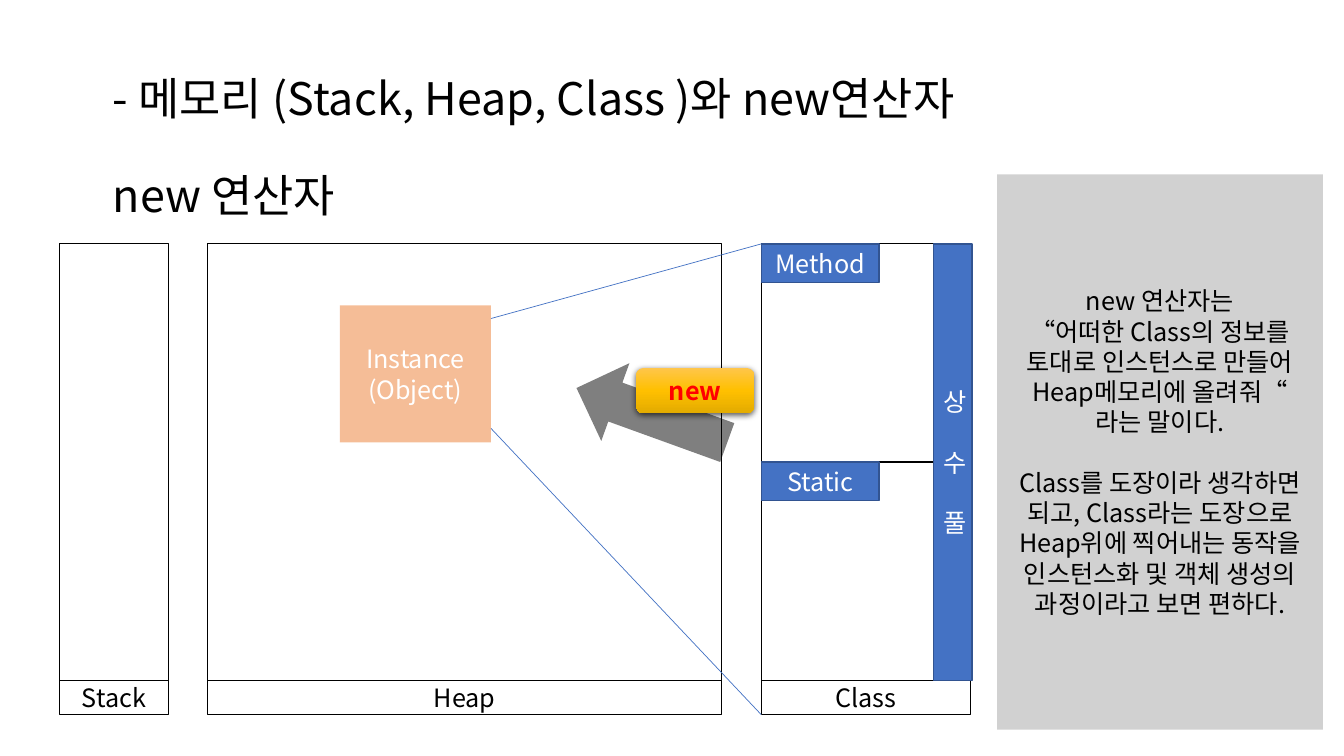
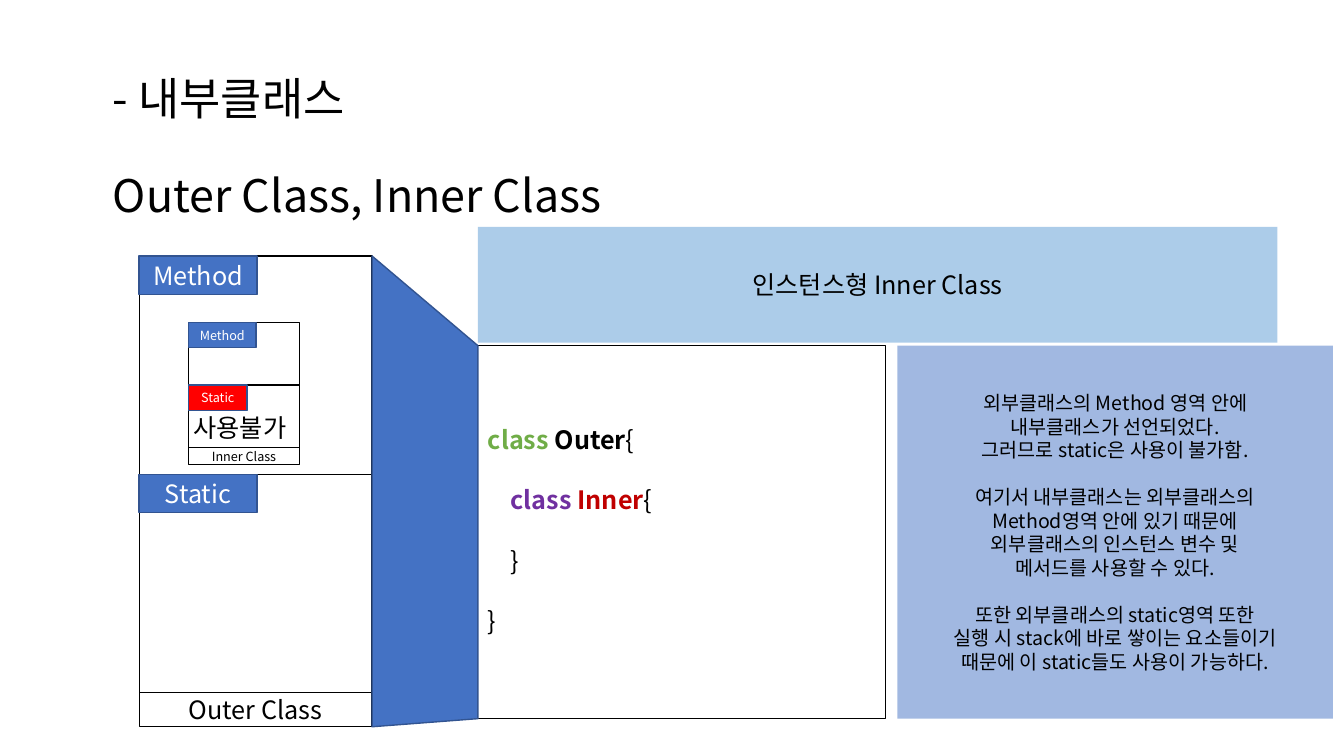
import dataclasses

import lxml.etree
import pptx
import pptx.dml.color
import pptx.enum.shapes
import pptx.enum.text
import pptx.oxml
import pptx.oxml.ns
import pptx.util

Inches = pptx.util.Inches
Shapes = pptx.enum.shapes.MSO_SHAPE
Align = pptx.enum.text.PP_ALIGN
Anchor = pptx.enum.text.MSO_ANCHOR
qn = pptx.oxml.ns.qn


@dataclasses.dataclass(frozen=True)
class Theme:
    font: str = "Noto Sans CJK KR"
    black: str = "000000"
    white: str = "FFFFFF"
    blue: str = "4472C4"
    navy: str = "325491"
    sky: str = "5B9BD5"
    gray: str = "A5A5A5"
    orange: str = "ED7D31"
    red: str = "FF0000"
    green: str = "70AD47"
    purple: str = "7030A0"
    crimson: str = "C00000"
    gold: tuple = ("FFC64B", "FFC000", "E3AB00")
    title: int = 32
    body: int = 18
    note: int = 14
    small: int = 9
    thin: float = 0.5
    frame: float = 0.75
    rule: float = 1
    line_height: float = 1.2


THEME = Theme()


@dataclasses.dataclass(frozen=True)
class Box:
    left: float
    top: float
    width: float
    height: float

    @property
    def right(self):
        return self.left + self.width

    @property
    def bottom(self):
        return self.top + self.height

    def inside(self, left, top, width, height):
        return Box(self.left + left, self.top + top, width, height)

    def lengths(self):
        return [Inches(value) for value in dataclasses.astuple(self)]


def color(value):
    return pptx.dml.color.RGBColor.from_string(value)


def set_values(target, values):
    for name, value in values.items():
        setattr(target, name, value)


def add_run(paragraph, text, size, text_color, bold=False):
    run = paragraph.add_run()
    run.text = text
    set_values(run.font, {"name": THEME.font, "size": pptx.util.Pt(size), "bold": bold})
    run.font.color.rgb = color(text_color)
    latin = run.font._element.find(qn("a:latin"))
    east_asian = lxml.etree.Element(qn("a:ea"), typeface=THEME.font)
    latin.addnext(east_asian)


def write_blocks(frame, blocks, size=THEME.body, text_color=THEME.black, bold=False,
                 align=Align.CENTER, anchor=Anchor.MIDDLE, spacing=1.0):
    set_values(frame, {"word_wrap": True, "vertical_anchor": anchor})
    paragraph = None
    for block in blocks:
        for position, line in enumerate(block):
            first = paragraph is None
            paragraph = frame.paragraphs[0] if first else frame.add_paragraph()
            set_values(paragraph, {"alignment": align, "line_spacing": spacing})
            if position == 0 and not first:
                gap = size * THEME.line_height * spacing
                paragraph.space_before = pptx.util.Pt(round(gap, 1))
            runs = [(line, {})] if isinstance(line, str) else line
            for text, changes in runs:
                values = {"size": size, "text_color": text_color, "bold": bold}
                add_run(paragraph, text, **{**values, **changes})


def paint(shape, fill=None, alpha=None, line=None, line_width=THEME.frame):
    shape.shadow.inherit = False
    if fill:
        shape.fill.solid()
        shape.fill.fore_color.rgb = color(fill)
        if alpha:
            fill_color = shape._element.spPr.find(qn("a:solidFill"))[0]
            lxml.etree.SubElement(fill_color, qn("a:alpha"), val=str(alpha * 1000))
    else:
        shape.fill.background()
    if line:
        shape.line.color.rgb = color(line)
        shape.line.width = pptx.util.Pt(line_width)
    else:
        shape.line.fill.background()


def add_panel(slide, box, blocks=(), text=None, kind=Shapes.RECTANGLE, **look):
    shape = slide.shapes.add_shape(kind, *box.lengths())
    paint(shape, **look)
    if blocks:
        write_blocks(shape.text_frame, blocks, **(text or {}))
    return shape


def add_line(slide, start, end, line_color=THEME.black, width=THEME.rule):
    connector = slide.shapes.add_connector(
        pptx.enum.shapes.MSO_CONNECTOR.STRAIGHT, *map(Inches, (*start, *end)))
    connector.line.color.rgb = color(line_color)
    connector.line.width = pptx.util.Pt(width)
    lxml.etree.SubElement(connector._element.spPr, qn("a:effectLst"))


def add_titled_slide(presentation, heading, subject):
    slide = presentation.slides.add_slide(presentation.slide_layouts[5])
    title = slide.shapes.title
    place = dict(zip(("left", "top", "width", "height"), Box(0.92, 0.5, 10.78, 1.75).lengths()))
    set_values(title, place)
    frame = title.text_frame
    frame.auto_size = pptx.enum.text.MSO_AUTO_SIZE.NONE
    write_blocks(frame, [[heading], [subject]], size=THEME.title,
                 align=Align.LEFT, anchor=Anchor.BOTTOM, spacing=0.9)
    frame.paragraphs[0]._p.get_or_add_pPr().set("marL", str(Inches(0.1)))
    return slide


def draw_area(slide, box, label, label_height=0.34, size=THEME.body):
    add_panel(slide, box, line=THEME.black)
    add_panel(slide, box.inside(0, box.height, box.width, label_height), [[label]],
              {"size": size}, line=THEME.black)


def draw_class(slide, box, label, label_height=0.34, size=THEME.body,
               tab_widths=(1.17, 1.17), tab_height=0.38, static_fill=THEME.blue):
    draw_area(slide, box, label, label_height, size)
    half = box.height / 2
    middle = box.top + half
    add_line(slide, (box.left, middle), (box.right, middle))
    tabs = zip(("Method", "Static"), (0, half), tab_widths, (THEME.blue, static_fill))
    for name, offset, width, fill in tabs:
        add_panel(slide, box.inside(0, offset, width, tab_height), [[name]],
                  {"size": size, "text_color": THEME.white},
                  fill=fill, line=THEME.navy, line_width=THEME.rule)


def draw_new_button(slide, box):
    button = add_panel(slide, box, [["new"]], {"text_color": THEME.red, "bold": True},
                       kind=Shapes.ROUNDED_RECTANGLE)
    properties = button._element.spPr
    properties.remove(properties.find(qn("a:noFill")))
    gradient = lxml.etree.Element(qn("a:gradFill"), rotWithShape="1")
    stops = lxml.etree.SubElement(gradient, qn("a:gsLst"))
    for position, stop_color in enumerate(THEME.gold):
        stop = lxml.etree.SubElement(stops, qn("a:gs"), pos=str(position * 50000))
        lxml.etree.SubElement(stop, qn("a:srgbClr"), val=stop_color)
    lxml.etree.SubElement(gradient, qn("a:lin"), ang="5400000", scaled="0")
    properties.find(qn("a:prstGeom")).addnext(gradient)
    shadow = lxml.etree.SubElement(
        properties.find(qn("a:effectLst")), qn("a:outerShdw"),
        blurRad=str(pptx.util.Pt(4.5)), dist=str(pptx.util.Pt(1.5)),
        dir="5400000", algn="ctr", rotWithShape="0")
    shadow_color = lxml.etree.SubElement(shadow, qn("a:srgbClr"), val=THEME.black)
    lxml.etree.SubElement(shadow_color, qn("a:alpha"), val="63000")


def draw_instantiation(slide, heap, source):
    instance = heap.inside(1.31, 0.61, 1.5, 1.36)
    label_bottom = source.bottom + 0.34
    for start, end in ((source.top, instance.top + 0.13), (label_bottom, instance.bottom - 0.14)):
        add_line(slide, (source.left, start), (instance.right, end), THEME.blue, THEME.thin)
    add_panel(slide, instance, [["Instance", "(Object)"]], {"text_color": THEME.white},
              fill=THEME.orange, alpha=50)
    arrow = add_panel(slide, heap.inside(3.61, 1.29, 1.59, 0.82), kind=Shapes.LEFT_ARROW,
                      fill=THEME.black, alpha=50)
    arrow.rotation = 19.9
    draw_new_button(slide, heap.inside(4.25, 1.23, 1.17, 0.45))


def draw_memory_map(slide, box):
    stack = box.inside(0, 0, 1.08, box.height)
    heap = box.inside(1.47, 0, 5.1, box.height)
    class_area = box.inside(6.96, 0, 2.08, box.height)
    draw_area(slide, stack, "Stack")
    draw_area(slide, heap, "Heap")
    draw_class(slide, class_area, "Class")
    add_panel(slide, class_area.inside(1.71, 0, 0.38, box.height), [["상"], ["수"], ["풀"]],
              {"text_color": THEME.white}, fill=THEME.blue, line=THEME.navy,
              line_width=THEME.rule)
    draw_instantiation(slide, heap, class_area)


def draw_code(slide, box):
    add_panel(slide, box, line=THEME.black)
    text_box = slide.shapes.add_textbox(*box.inside(0, -0.27, box.width, 4.19).lengths())
    keyword = {"text_color": THEME.green, "bold": True}
    inner_keyword = {"text_color": THEME.purple, "bold": True}
    inner_name = {"text_color": THEME.crimson, "bold": True}
    write_blocks(text_box.text_frame, [
        [[("class ", keyword), ("Outer", {"bold": True}), ("{", {})]],
        [[("    class ", inner_keyword), ("Inner", inner_name), ("{", {})]],
        ["    }"],
        ["}"],
    ], align=Align.LEFT)


def draw_zoom(slide, source, target):
    builder = slide.shapes.build_freeform(Inches(source.right), Inches(source.top), scale=1.0)
    corners = [(target.left, target.top), (target.left, target.bottom),
               (source.right, source.bottom + 0.34)]
    builder.add_line_segments([(Inches(x), Inches(y)) for x, y in corners], close=True)
    paint(builder.convert_to_shape(), fill=THEME.blue, line=THEME.navy, line_width=THEME.rule)


def draw_inner_class(slide, box):
    draw_class(slide, box, "Inner Class", label_height=0.17, size=THEME.small,
               tab_widths=(0.67, 0.58), tab_height=0.25, static_fill=THEME.red)
    warning = slide.shapes.add_textbox(*box.inside(-0.05, 0.84, 1.51, 0.4).lengths())
    write_blocks(warning.text_frame, [["사용불가"]], align=Align.LEFT, anchor=Anchor.TOP)


def build_new_operator_slide(presentation):
    slide = add_titled_slide(presentation, "- 메모리 (Stack, Heap, Class )와 new연산자", "new 연산자")
    add_panel(slide, Box(9.89, 1.73, 3.23, 5.51), [
        ["new 연산자는", "“어떠한 Class의 정보를", "토대로 인스턴스로 만들어",
         "Heap메모리에 올려줘“", "라는 말이다."],
        ["Class를 도장이라 생각하면 되고, Class라는 도장으로", "Heap위에 찍어내는 동작을",
         "인스턴스화 및 객체 생성의", "과정이라고 보면 편하다."],
    ], fill=THEME.gray, alpha=50)
    draw_memory_map(slide, Box(0.59, 2.42, 9.04, 4.33))


def build_inner_class_slide(presentation):
    slide = add_titled_slide(presentation, "- 내부클래스", "Outer Class, Inner Class")
    outer = Box(1.38, 2.54, 2.31, 4.33)
    code = Box(4.74, 3.43, 4.04, 3.7)
    add_panel(slide, Box(4.74, 2.25, 7.93, 1.15), [["인스턴스형 Inner Class"]],
              fill=THEME.sky, alpha=50)
    draw_class(slide, outer, "Outer Class")
    add_panel(slide, Box(8.9, 3.43, 4.32, 3.7), [
        ["외부클래스의 Method 영역 안에", "내부클래스가 선언되었다.",
         "그러므로 static은 사용이 불가함."],
        ["여기서 내부클래스는 외부클래스의", "Method영역 안에 있기 때문에",
         "외부클래스의 인스턴스 변수 및", "메서드를 사용할 수 있다."],
        ["또한 외부클래스의 static영역 또한", "실행 시 stack에 바로 쌓이는 요소들이기",
         "때문에 이 static들도 사용이 가능하다."],
    ], {"size": THEME.note}, fill=THEME.blue, alpha=50)
    draw_code(slide, code)
    draw_zoom(slide, outer, code)
    draw_inner_class(slide, outer.inside(0.49, 0.66, 1.1, 1.24))


def main():
    presentation = pptx.Presentation()
    set_values(presentation, {"slide_width": Inches(13.33), "slide_height": Inches(7.5)})
    build_new_operator_slide(presentation)
    build_inner_class_slide(presentation)
    presentation.save("out.pptx")


if __name__ == "__main__":
    main()
